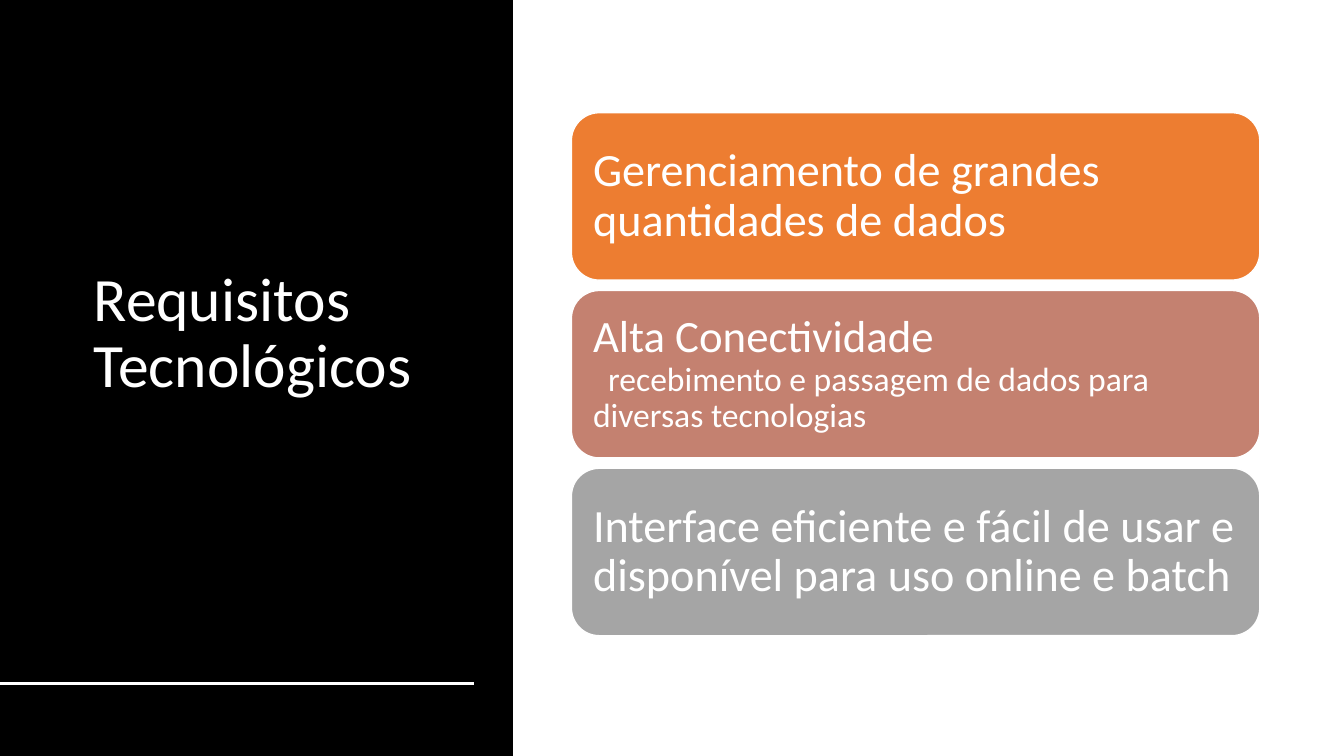
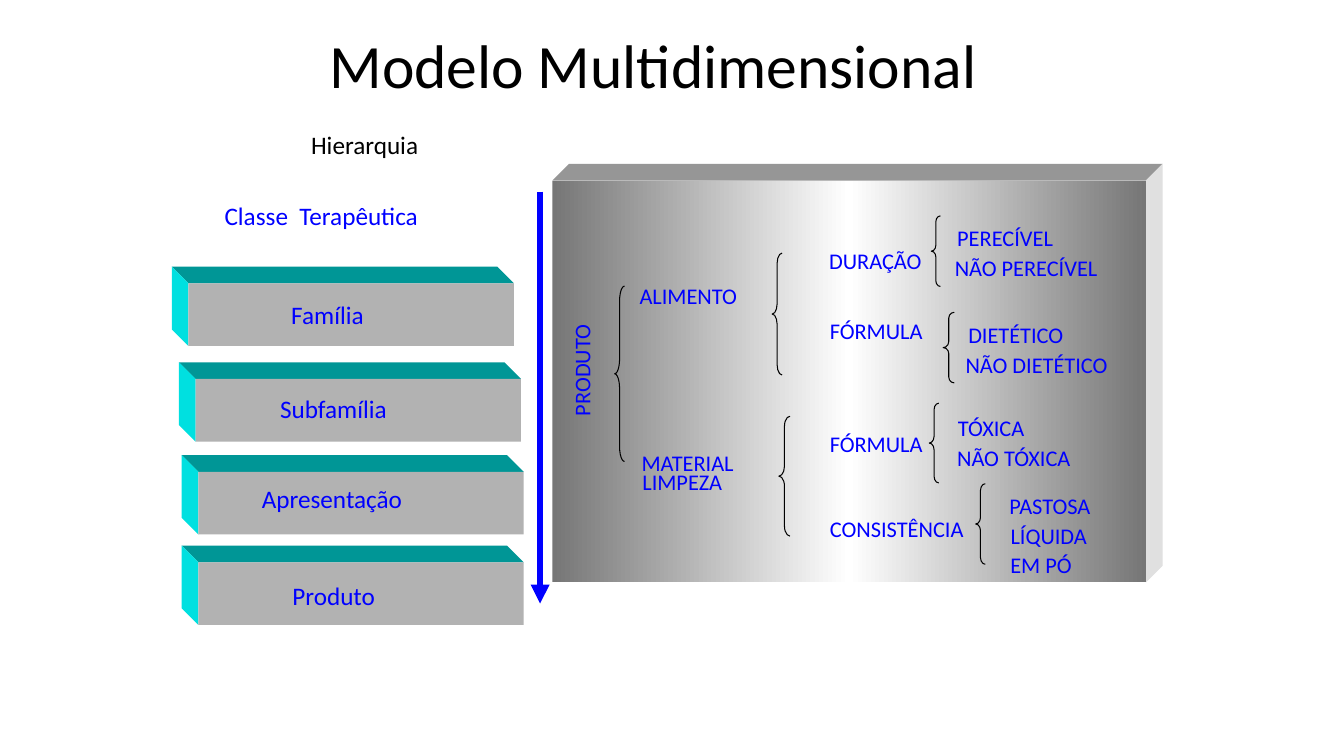
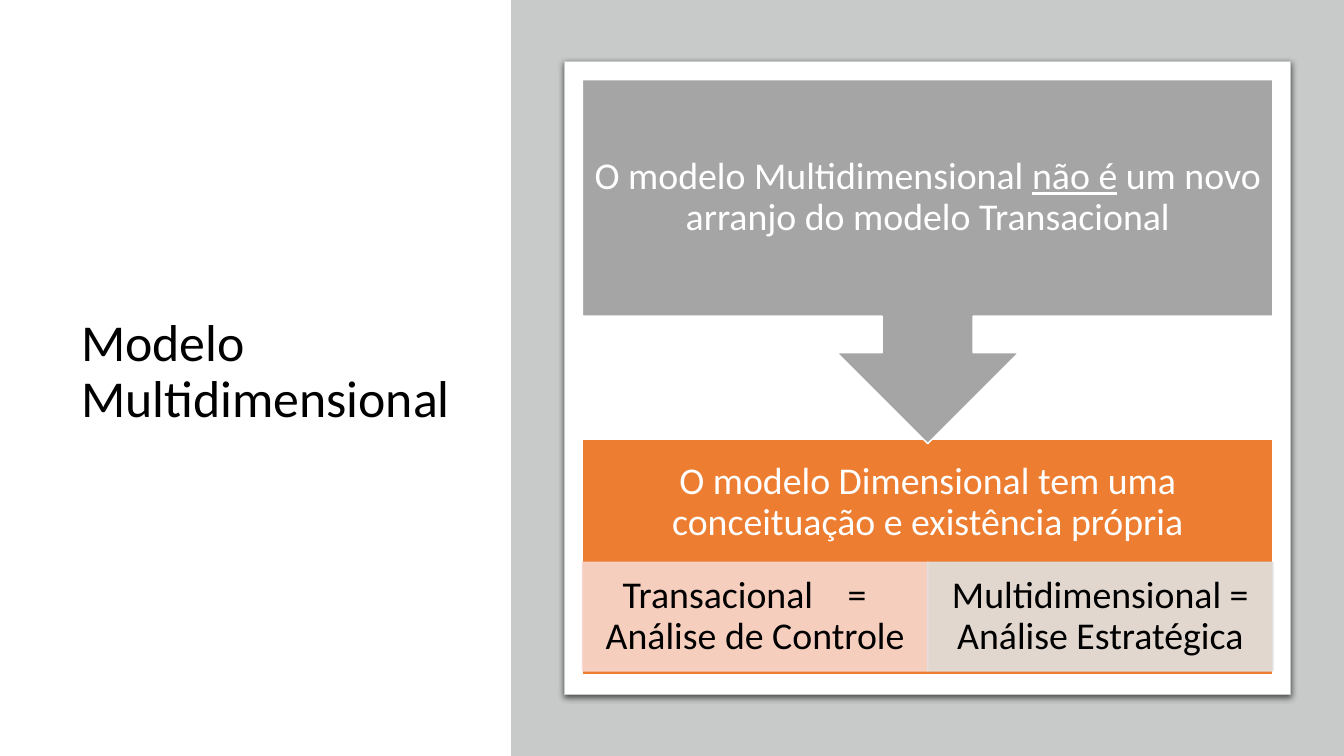
"""Build three slides on technological requirements and the multidimensional model."""
import dataclasses
import typing

import lxml.etree
import pptx
import pptx.dml.color
import pptx.enum.shapes
import pptx.enum.text
import pptx.oxml.ns
import pptx.util

Cm = pptx.util.Cm
Pt = pptx.util.Pt
Shapes = pptx.enum.shapes.MSO_SHAPE
Align = pptx.enum.text.PP_ALIGN
Anchor = pptx.enum.text.MSO_ANCHOR
qn = pptx.oxml.ns.qn

FONT = "Calibri"
SLIDE_WIDTH, SLIDE_HEIGHT = 33.87, 19.05
BLACK, WHITE, BLUE = "000000", "FFFFFF", "0000FF"
ORANGE, ROSE, GREY, BACKDROP = "ED7D31", "C48170", "A5A5A5", "C8CACA"
DEPTH = 0.42


class Box(typing.NamedTuple):
    """Left, top, width and height in centimetres."""

    left: float
    top: float
    width: float
    height: float

    def lengths(self) -> list[int]:
        """Return the four lengths for python-pptx."""
        return [Cm(value) for value in self]


class Label(typing.NamedTuple):
    """One unwrapped line of blue text."""

    text: str
    left: float
    top: float
    width: float
    rotation: int = 0


class Extrusion(typing.NamedTuple):
    """Colours of the visible faces and the sideways direction of depth."""

    top: str
    side: str
    direction: int


@dataclasses.dataclass
class Style:
    """Look of the text in a shape."""

    size: float
    color: str = WHITE
    align: typing.Any = Align.LEFT
    insets: tuple[float, float, float, float] = (0, 0, 0, 0)
    anchor: typing.Any = Anchor.MIDDLE
    line_spacing: float = 0.9
    wrap: bool = True


HIERARCHY = [
    Label("Classe  Terapêutica", 5.66, 5.05, 4.93),
    Label("Família", 7.34, 7.54, 1.85),
    Label("Subfamília", 7.06, 9.91, 2.72),
    Label("Apresentação", 6.6, 12.17, 3.58),
    Label("Produto", 7.37, 14.63, 2.11),
]
TREE = [
    Label("PRODUTO", 13.49, 8.99, 2.34, 270),
    Label("ALIMENTO", 16.1, 7.11, 2.49),
    Label("MATERIAL", 16.15, 11.33, 2.36),
    Label("LIMPEZA", 16.18, 11.79, 2.03),
    Label("DURAÇÃO", 20.88, 6.22, 2.36),
    Label("FÓRMULA", 20.9, 7.98, 2.36),
    Label("FÓRMULA", 20.9, 10.85, 2.36),
    Label("CONSISTÊNCIA", 20.9, 12.98, 3.4),
    Label("PERECÍVEL", 24.1, 5.64, 2.46),
    Label("NÃO PERECÍVEL", 24.03, 6.4, 3.66),
    Label("DIETÉTICO", 24.38, 8.1, 2.44),
    Label("NÃO DIETÉTICO", 24.31, 8.86, 3.63),
    Label("TÓXICA", 24.13, 10.44, 1.7),
    Label("NÃO TÓXICA", 24.1, 11.2, 2.9),
    Label("PASTOSA", 25.43, 12.4, 2.06),
    Label("LÍQUIDA", 25.45, 13.16, 1.96),
    Label("EM PÓ", 25.45, 13.89, 1.57),
]
BRACES = [
    Box(15.49, 7.21, 0.25, 4.42),
    Box(19.46, 6.38, 0.25, 3.07),
    Box(19.63, 10.49, 0.28, 3.02),
    Box(23.47, 5.44, 0.23, 1.78),
    Box(23.77, 7.87, 0.28, 1.78),
    Box(23.42, 10.16, 0.24, 2.01),
    Box(24.59, 12.19, 0.24, 2.03),
]
BLOCKS = [(4.75, 7.14), (4.93, 9.55), (5, 11.89), (5, 14.17)]


def rgb(color: str) -> pptx.dml.color.RGBColor:
    """Turn a hex string into a colour."""
    return pptx.dml.color.RGBColor.from_string(color)


def add_element(parent: typing.Any, tag: str, **attributes: typing.Any) -> typing.Any:
    """Append a drawing element with the given attributes."""
    values = {name: str(value) for name, value in attributes.items()}
    return lxml.etree.SubElement(parent, qn(tag), values)


def write(shape: typing.Any, text: str, style: Style) -> None:
    """Put text into a shape and format every run."""
    frame = shape.text_frame
    frame.text = text
    frame.auto_size = pptx.enum.text.MSO_AUTO_SIZE.NONE
    frame.word_wrap = style.wrap
    frame.vertical_anchor = style.anchor
    frame.margin_left, frame.margin_top, frame.margin_right, frame.margin_bottom = (
        Cm(inset) for inset in style.insets
    )
    for paragraph in frame.paragraphs:
        paragraph.alignment = style.align
        paragraph.line_spacing = style.line_spacing
        for run in paragraph.runs:
            run.font.name = FONT
            run.font.size = Pt(style.size)
            run.font.color.rgb = rgb(style.color)


def paint(shape: typing.Any, fill: str | None, line: str | None, width: float = 1) -> None:
    """Set the fill and outline of a shape and remove its shadow."""
    shape.shadow.inherit = False
    if fill:
        shape.fill.solid()
        shape.fill.fore_color.rgb = rgb(fill)
    else:
        shape.fill.background()
    if line:
        shape.line.color.rgb = rgb(line)
        shape.line.width = Pt(width)
    else:
        shape.line.fill.background()


def add_shape(
    slide: typing.Any, kind: typing.Any, box: Box,
    fill: str | None = None, line: str | None = None, width: float = 1,
) -> typing.Any:
    """Draw a preset shape."""
    shape = slide.shapes.add_shape(kind, *box.lengths())
    paint(shape, fill, line, width)
    return shape


def add_text(slide: typing.Any, box: Box, text: str, style: Style) -> typing.Any:
    """Draw a text box."""
    shape = slide.shapes.add_textbox(*box.lengths())
    write(shape, text, style)
    return shape


def add_label(slide: typing.Any, label: Label, size: float, align: typing.Any) -> None:
    """Draw one label of the diagram."""
    box = Box(label.left, label.top, label.width, size * 0.043)
    style = Style(size, BLUE, align, anchor=Anchor.TOP, line_spacing=1, wrap=False)
    add_text(slide, box, label.text, style).rotation = label.rotation


def add_line(
    slide: typing.Any, start: tuple[float, float], end: tuple[float, float],
    color: str, width: float, arrow: bool = False,
) -> None:
    """Draw a straight line, with an arrowhead at its end if asked."""
    points = [Cm(value) for value in (*start, *end)]
    connector = slide.shapes.add_connector(pptx.enum.shapes.MSO_CONNECTOR.STRAIGHT, *points)
    connector.line.color.rgb = rgb(color)
    connector.line.width = Pt(width)
    if arrow:
        add_element(connector.line._get_or_add_ln(), "a:tailEnd", type="triangle")
    add_element(connector._element.spPr, "a:effectLst")


def add_face(slide: typing.Any, points: list[tuple[float, float]], fill: str) -> None:
    """Draw a closed polygon."""
    first, *rest = [(Cm(x), Cm(y)) for x, y in points]
    builder = slide.shapes.build_freeform(*first)
    builder.add_line_segments(rest)
    paint(builder.convert_to_shape(), fill, None)


def add_block(slide: typing.Any, box: Box, fill: str, extrusion: Extrusion) -> typing.Any:
    """Draw a block with a front, a top and one side face."""
    left, top, width, height = box
    right, bottom = left + width, top + height
    shift = DEPTH * extrusion.direction
    edge = right if extrusion.direction > 0 else left
    add_face(
        slide,
        [(left, top), (right, top), (right + shift, top - DEPTH), (left + shift, top - DEPTH)],
        extrusion.top,
    )
    add_face(
        slide,
        [(edge, top), (edge, bottom), (edge + shift, bottom - DEPTH), (edge + shift, top - DEPTH)],
        extrusion.side,
    )
    return add_shape(slide, Shapes.RECTANGLE, box, fill)


def set_gradient(shape: typing.Any, colors: list[str]) -> None:
    """Fill a shape from left to right with evenly spaced colours."""
    shape.fill.gradient()
    shape.fill.gradient_angle = 0
    stops = shape._element.spPr.find(".//" + qn("a:gsLst"))
    for stop in list(stops):
        stops.remove(stop)
    for index, color in enumerate(colors):
        stop = add_element(stops, "a:gs", pos=100000 * index // (len(colors) - 1))
        add_element(stop, "a:srgbClr", val=color)


def add_slide(
    presentation: typing.Any, title: str, box: Box, size: float,
    color: str = BLACK, anchor: typing.Any = Anchor.MIDDLE, band: tuple[Box, str] | None = None,
) -> typing.Any:
    """Add a slide with its title and an optional colour band behind it."""
    slide = presentation.slides.add_slide(presentation.slide_layouts[5])
    shape = slide.shapes.title
    shape.left, shape.top, shape.width, shape.height = box.lengths()
    write(shape, title, Style(size, color, insets=(0.25, 0.13, 0.25, 0.13), anchor=anchor))
    if band:
        area, fill = band
        panel = add_shape(slide, Shapes.RECTANGLE, area, fill)
        shape._element.addprevious(panel._element)
    return slide


def build_requirements(presentation: typing.Any) -> None:
    """Build the slide of technological requirements."""
    slide = add_slide(
        presentation, "Requisitos Tecnológicos", Box(2.11, 1.55, 9.91, 13.77), 44, WHITE,
        band=(Box(0, 0, 12.93, SLIDE_HEIGHT), BLACK),
    )
    add_line(slide, (0, 17.22), (11.94, 17.22), WHITE, 2)
    cards = [
        ("Gerenciamento de grandes quantidades de dados", ORANGE, 33),
        ("Alta Conectividade\nrecebimento e passagem de dados para diversas tecnologias", ROSE, 32),
        ("Interface eficiente e fácil de usar e disponível para uso online e batch", GREY, 33),
    ]
    for index, (text, fill, size) in enumerate(cards):
        box = Box(14.4, 2.84 + 4.48 * index, 17.35, 4.22)
        card = add_shape(slide, Shapes.ROUNDED_RECTANGLE, box, fill, WHITE)
        write(card, text, Style(size, insets=(0.34,) * 4))
        for paragraph in card.text_frame.paragraphs[1:]:
            paragraph._p.get_or_add_pPr().set("indent", str(Cm(0.38)))
            paragraph.runs[0].font.size = Pt(24)


def build_hierarchy(presentation: typing.Any) -> None:
    """Build the slide of the product hierarchy."""
    slide = add_slide(
        presentation, "Modelo Multidimensional", Box(8.05, 0.76, 21.59, 3.18), 44,
        anchor=Anchor.TOP,
    )
    heading = Style(18, BLACK, insets=(0.25, 0.13, 0.25, 0.13), anchor=Anchor.TOP, line_spacing=1)
    add_text(slide, Box(7.59, 3.12, 7.04, 2.18), "Hierarquia", heading)
    for left, top in BLOCKS:
        add_block(slide, Box(left, top, 8.2, 1.58), "B2B2B2", Extrusion("009696", "00E0E0", -1))
    add_line(slide, (13.61, 4.83), (13.61, 15.21), BLUE, 4.5, arrow=True)
    board = add_block(
        slide, Box(13.92, 4.55, 14.96, 10.13), WHITE, Extrusion("969696", "E0E0E0", 1)
    )
    set_gradient(board, ["767676", WHITE, "767676"])
    for label in HIERARCHY:
        add_label(slide, label, 18, Align.LEFT)
    for label in TREE:
        add_label(slide, label, 16, Align.CENTER)
    for box in BRACES:
        brace = add_shape(slide, Shapes.LEFT_BRACE, box, line=BLACK, width=0.75)
        brace.adjustments[0] = box.height / (12 * box.width)


def build_comparison(presentation: typing.Any) -> None:
    """Build the slide comparing the two models."""
    slide = add_slide(
        presentation, "Modelo Multidimensional", Box(1.8, 1.75, 10.19, 15.29), 37,
        band=(Box(12.88, 0, SLIDE_WIDTH - 12.88, SLIDE_HEIGHT), BACKDROP),
    )
    frame = add_shape(
        slide, Shapes.RECTANGLE, Box(14.22, 1.55, 18.31, 15.95), WHITE, BACKDROP, 0.75
    )
    shadow = add_element(
        frame._element.spPr.find(qn("a:effectLst")), "a:outerShdw",
        blurRad=Pt(4.5), dist=Pt(1.5), dir=5400000, algn="t", rotWithShape=0,
    )
    add_element(add_element(shadow, "a:srgbClr", val=BLACK), "a:alpha", val=63000)

    left, width = 14.68, 17.4
    conclusion = add_shape(
        slide, Shapes.RECTANGLE, Box(left, 11.07, width, 5.94), ORANGE, WHITE
    )
    write(
        conclusion, "O modelo Dimensional tem uma conceituação e existência própria",
        Style(27, align=Align.CENTER, insets=(0.53, 0.53, 0.53, 3.25)),
    )
    halves = [
        ("\tTransacional\t=\nAnálise de Controle", "F8D7CE"),
        ("Multidimensional = Análise Estratégica", "E1E1E1"),
    ]
    for index, (text, fill) in enumerate(halves):
        box = Box(left + index * width / 2, 14.17, width / 2, 2.74)
        half = add_shape(slide, Shapes.RECTANGLE, box, fill, fill)
        for color in half._element.spPr.iter(qn("a:srgbClr")):
            add_element(color, "a:alpha", val=90000)
        write(half, text, Style(27, BLACK, Align.CENTER, (0.53, 0.1, 0.53, 0.1)))
        first = half.text_frame.paragraphs[0]
        if "\t" in first.text:
            first.alignment = Align.LEFT
            tabs = add_element(first._p.get_or_add_pPr(), "a:tabLst")
            for position in (0.48, 6.15):
                add_element(tabs, "a:tab", pos=Cm(position), algn="l")

    callout = add_shape(
        slide, Shapes.DOWN_ARROW_CALLOUT, Box(left, 2.01, width, 9.17), GREY, WHITE
    )
    write(callout, "", Style(27))
    paragraph = callout.text_frame.paragraphs[0]
    paragraph.alignment = Align.CENTER
    pieces = ["O modelo Multidimensional ", "não é", " um novo arranjo do modelo Transacional"]
    for piece in pieces:
        run = paragraph.add_run()
        run.text = piece
        run.font.name = FONT
        run.font.size = Pt(27)
        run.font.color.rgb = rgb(WHITE)
        run.font.underline = piece == "não é"


def main() -> None:
    """Build and save the presentation."""
    presentation = pptx.Presentation()
    presentation.slide_width = Cm(SLIDE_WIDTH)
    presentation.slide_height = Cm(SLIDE_HEIGHT)
    build_requirements(presentation)
    build_hierarchy(presentation)
    build_comparison(presentation)
    presentation.save("out.pptx")


if __name__ == "__main__":
    main()
